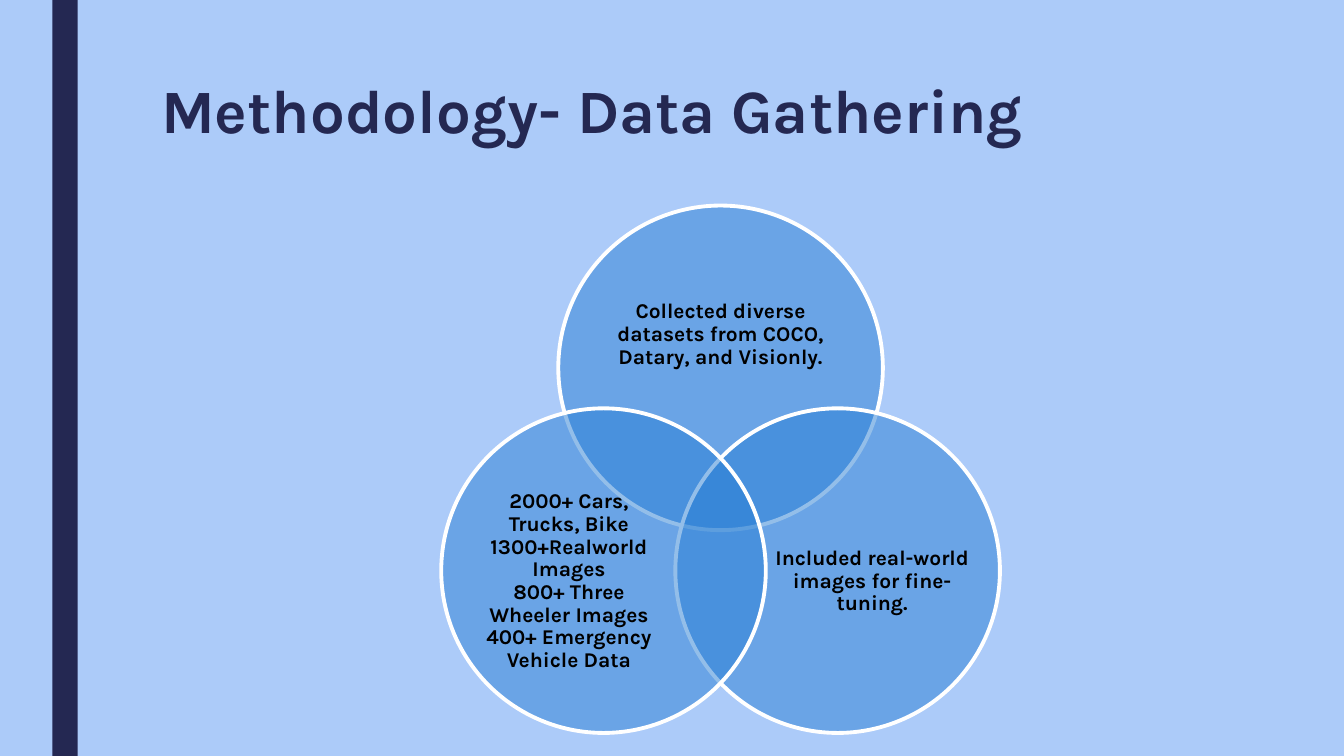
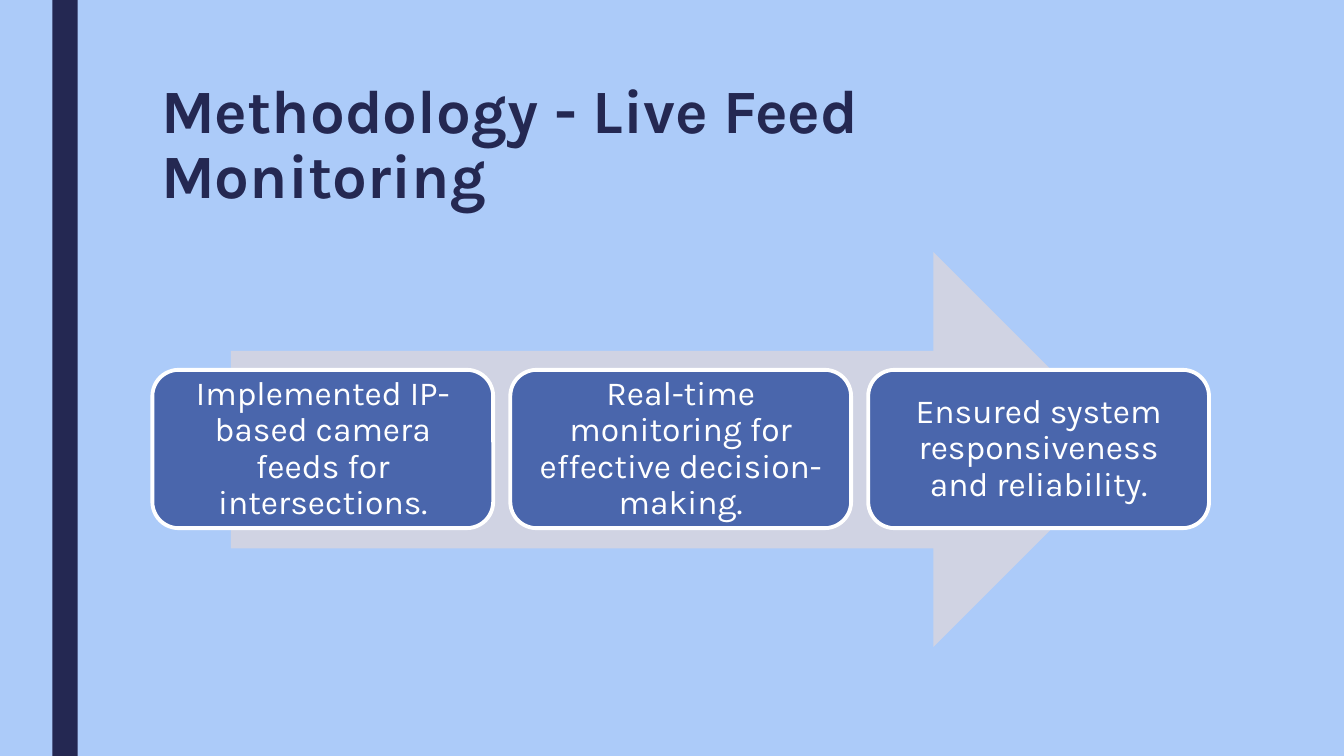
from pptx import Presentation
from pptx.dml.color import RGBColor
from pptx.enum.shapes import MSO_SHAPE as Shape
from pptx.enum.text import MSO_ANCHOR as Anchor, PP_ALIGN as Align
from pptx.oxml.ns import qn
from pptx.util import Cm, Pt
from lxml import etree

SKY = RGBColor(0xAC, 0xCB, 0xF9)
NAVY = RGBColor(0x24, 0x28, 0x52)
BLUE = RGBColor(0x29, 0x7F, 0xD5)
INDIGO = RGBColor(0x4A, 0x66, 0xAC)
GREY = RGBColor(0xD0, 0xD3, 0xE3)
WHITE = RGBColor(0xFF, 0xFF, 0xFF)
BLACK = RGBColor(0, 0, 0)

FONT = "Karla"
TITLE = {"size": Pt(44), "bold": True, "color": NAVY, "align": Align.LEFT,
         "anchor": Anchor.TOP, "spacing": 0.89, "inset": (0.25, 0.13)}
CIRCLE_TEXT = {"size": Pt(15), "bold": True, "color": BLACK, "align": Align.CENTER,
               "anchor": Anchor.MIDDLE, "spacing": 0.9, "inset": (0, 0)}
STEP_TEXT = {**CIRCLE_TEXT, "size": Pt(24), "bold": False, "color": WHITE,
             "inset": (0.25, 0.25)}


def add_block(page, kind, left, top, width, height, fill, outlined=False):
    """Add a flat preset shape, with a white outline if asked for."""
    block = page.shapes.add_shape(kind, Cm(left), Cm(top), Cm(width), Cm(height))
    block.shadow.inherit = False
    block.fill.solid()
    block.fill.fore_color.rgb = fill
    if outlined:
        block.line.color.rgb = WHITE
        block.line.width = Pt(2.75)
    else:
        block.line.fill.background()
    return block


def write(box, text, style):
    """Fill a box with one paragraph; a vertical tab breaks the line."""
    frame = box.text_frame
    across, down = style["inset"]
    layout = {"word_wrap": True, "vertical_anchor": style["anchor"],
              "margin_left": Cm(across), "margin_right": Cm(across),
              "margin_top": Cm(down), "margin_bottom": Cm(down)}
    for name, value in layout.items():
        setattr(frame, name, value)
    para = frame.paragraphs[0]
    para.text = text
    para.alignment = style["align"]
    para.line_spacing = style["spacing"]
    for span in para.runs:
        for name, value in {"name": FONT, "size": style["size"], "bold": style["bold"]}.items():
            setattr(span.font, name, value)
        span.font.color.rgb = style["color"]


# Deck and shared background
deck = Presentation()
deck.slide_width, deck.slide_height = Cm(33.87), Cm(19.05)
backdrop = deck.slide_master.background.fill
backdrop.solid()
backdrop.fore_color.rgb = SKY

# Pages with side band and title
pages = []
for title in ("Methodology- Data Gathering", "Methodology - Live Feed Monitoring"):
    page = deck.slides.add_slide(deck.slide_layouts[6])
    add_block(page, Shape.RECTANGLE, 1.32, 0, 0.64, 19.05, NAVY)
    box = page.shapes.add_textbox(Cm(3.81), Cm(1.9), Cm(26.2), Cm(4.12))
    write(box, title, TITLE)
    pages.append(page)
gathering, monitoring = pages

# Data gathering: three overlapping circles (centre, then text area)
DIAMETER = 8.18
circles = [
    ((18.16, 9.27), (15.16, 6.6, 6, 3.68),
     "Collected diverse datasets from COCO, Datary, and Visionly."),
    ((21.11, 14.38), (19.53, 12.4, 4.9, 4.5),
     "Included real-world images for fine-tuning."),
    ((15.21, 14.38), (11.89, 12.4, 4.9, 4.5),
     "2000+ Cars, Trucks, Bike\v1300+Realworld Images\v"
     "800+ Three Wheeler Images\v400+ Emergency Vehicle Data"),
]
for (x, y), area, text in circles:
    circle = add_block(gathering, Shape.OVAL, x - DIAMETER / 2, y - DIAMETER / 2,
                       DIAMETER, DIAMETER, BLUE, outlined=True)
    # Half-transparent fill
    tint = circle.fill._xPr.find(qn("a:solidFill"))[0]
    etree.SubElement(tint, qn("a:alpha"), val="50000")
    box = gathering.shapes.add_textbox(*[Cm(length) for length in area])
    write(box, text, CIRCLE_TEXT)

# Live feed monitoring: steps on an arrow
add_block(monitoring, Shape.RIGHT_ARROW, 5.82, 6.35, 22.68, 9.96, GREY)
STEP_WIDTH, STEP_GAP = 8.59, 0.43
steps = ["Implemented IP-based camera feeds for intersections.",
         "Real-time monitoring for effective decision-making.",
         "Ensured system responsiveness and reliability."]
for index, text in enumerate(steps):
    left = 3.84 + index * (STEP_WIDTH + STEP_GAP)
    step = add_block(monitoring, Shape.ROUNDED_RECTANGLE, left, 9.32,
                     STEP_WIDTH, 3.99, INDIGO, outlined=True)
    write(step, text, STEP_TEXT)

deck.save("out.pptx")
